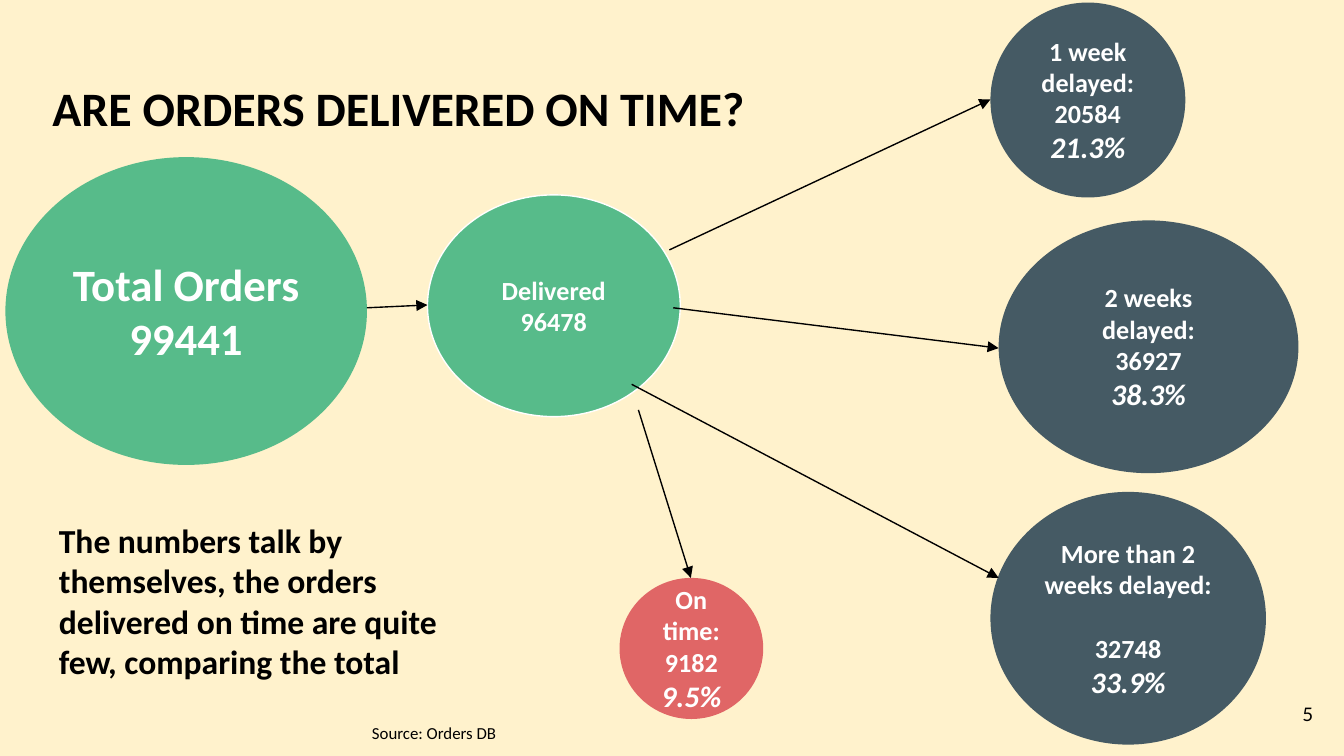
from dataclasses import dataclass

import pptx
import pptx.dml.color
import pptx.enum.shapes
import pptx.enum.text
import pptx.oxml.ns
import pptx.util
from lxml import etree

Pt = pptx.util.Pt
Align = pptx.enum.text.PP_ALIGN
Anchor = pptx.enum.text.MSO_ANCHOR
qn = pptx.oxml.ns.qn


@dataclass(frozen=True)
class Theme:
    background: str = "FFF2CC"
    ink: str = "000000"
    white: str = "FFFFFF"
    orders: str = "57BB8A"
    late: str = "455A64"
    on_time: str = "E06666"
    font: str = "Calibri"
    number_font: str = "Lato"
    title: float = 25.7
    total: float = 24
    takeaway: float = 18
    share: float = 16
    count: float = 14
    page_number: float = 10
    source: float = 9
    line: float = 0.75
    inset: float = 7.2


THEME = Theme()

# Left, top, width, height, fill, lines of text, share, gap above the last count
OUTCOMES = [
    (530.6, 1.4, 104.4, 104.4, THEME.late, ["1 week\vdelayed:\v20584"], "21.3%", 0),
    (535, 118.1, 160.6, 135.4, THEME.late, ["2 weeks\vdelayed:", "36927"], "38.3%", 0),
    (530.6, 263.5, 147.6, 135.4, THEME.late,
     ["More than 2\vweeks delayed:", "32748"], "33.9%", 17),
    (331.9, 309.6, 77, 75.6, THEME.on_time, ["On\vtime:\v9182"], "9.5%", 0),
]

# Start x, start y, end x, end y
ARROWS = [
    (196.6, 164.9, 229, 163.4),
    (358.6, 133.9, 530.6, 53.3),
    (360.7, 164.9, 535, 186.5),
    (338.4, 205.9, 535, 309.6),
    (342, 219.6, 370.1, 309.6),
]


def rgb(value):
    return pptx.dml.color.RGBColor.from_string(value)


def place(shape, left, top, width, height):
    shape.left, shape.top = Pt(left), Pt(top)
    shape.width, shape.height = Pt(width), Pt(height)


def write(shape, lines, size, color=THEME.ink, bold=True, align=Align.LEFT,
          anchor=Anchor.TOP, font=THEME.font):
    """Fill a shape with one paragraph per line, all in one style."""
    frame = shape.text_frame
    frame.word_wrap = True
    frame.auto_size = pptx.enum.text.MSO_AUTO_SIZE.NONE
    frame.vertical_anchor = anchor
    frame.margin_left = frame.margin_right = Pt(THEME.inset)
    frame.margin_top = frame.margin_bottom = Pt(THEME.inset)
    frame.text = "\n".join(lines)
    for para in frame.paragraphs:
        para.alignment = align
        for span in para.runs:
            span.font.name = font
            span.font.size = Pt(size)
            span.font.bold = bold
            span.font.color.rgb = rgb(color)


def add_label(page, bounds, lines, size, **style):
    box = page.shapes.add_textbox(*map(Pt, bounds))
    write(box, lines, size, **style)


def add_circle(page, bounds, fill, outline=None):
    circle = page.shapes.add_shape(
        pptx.enum.shapes.MSO_SHAPE.OVAL, *map(Pt, bounds))
    circle.shadow.inherit = False
    circle.fill.solid()
    circle.fill.fore_color.rgb = rgb(fill)
    if outline:
        circle.line.color.rgb = rgb(outline)
        circle.line.width = Pt(THEME.line)
    else:
        circle.line.fill.background()
    return circle


def add_outcome(page, left, top, width, height, fill, lines, share, gap):
    """Add a delivery outcome, its share of orders set larger and in italics."""
    circle = add_circle(page, (left, top, width, height), fill)
    write(circle, lines + [share], THEME.count, color=THEME.white,
          align=Align.CENTER, anchor=Anchor.MIDDLE)
    paragraphs = circle.text_frame.paragraphs
    paragraphs[-2].space_before = Pt(gap)
    share_font = paragraphs[-1].runs[0].font
    share_font.size = Pt(THEME.share)
    share_font.italic = True


def add_arrow(page, ends):
    arrow = page.shapes.add_connector(
        pptx.enum.shapes.MSO_CONNECTOR.STRAIGHT, *map(Pt, ends))
    arrow.line.color.rgb = rgb(THEME.ink)
    arrow.line.width = Pt(THEME.line)
    outline = arrow.line._get_or_add_ln()
    etree.SubElement(outline, qn("a:tailEnd"), type="triangle")
    etree.SubElement(arrow._element.spPr, qn("a:effectLst"))


def main():
    deck = pptx.Presentation()
    deck.slide_width, deck.slide_height = Pt(720), Pt(405)
    page = deck.slides.add_slide(deck.slide_layouts.get_by_name("Title Only"))
    page.background.fill.solid()
    page.background.fill.fore_color.rgb = rgb(THEME.background)

    title = page.shapes.title
    place(title, 20.9, 21.6, 460, 58.3)
    write(title, ["ARE ORDERS DELIVERED ON TIME?"], THEME.title,
          anchor=Anchor.BOTTOM)

    centred = dict(color=THEME.white, align=Align.CENTER, anchor=Anchor.MIDDLE)
    add_circle(page, (2.9, 84.2, 193.7, 164.9), THEME.orders)
    add_label(page, (-16.6, 116.6, 232.6, 99.4), ["Total Orders", "99441"],
              THEME.total, **centred)
    delivered = add_circle(page, (229, 104.4, 135.4, 118.8), THEME.orders,
                           outline=THEME.white)
    write(delivered, ["Delivered", "96478"], THEME.count, **centred)

    for outcome in OUTCOMES:
        add_outcome(page, *outcome)
    for ends in ARROWS:
        add_arrow(page, ends)

    add_label(page, (24.5, 271.4, 223.2, 118.8),
              ["The numbers talk by themselves, the orders delivered on time "
               "are quite few, comparing the total"], THEME.takeaway)
    add_label(page, (192.2, 380.2, 139.7, 19.4), ["Source: Orders DB"],
              THEME.source, bold=False)
    add_label(page, (667.4, 367.2, 43.2, 31), ["5"], THEME.page_number,
              bold=False, align=Align.RIGHT, anchor=Anchor.MIDDLE,
              font=THEME.number_font)
    deck.save("out.pptx")


if __name__ == "__main__":
    main()
